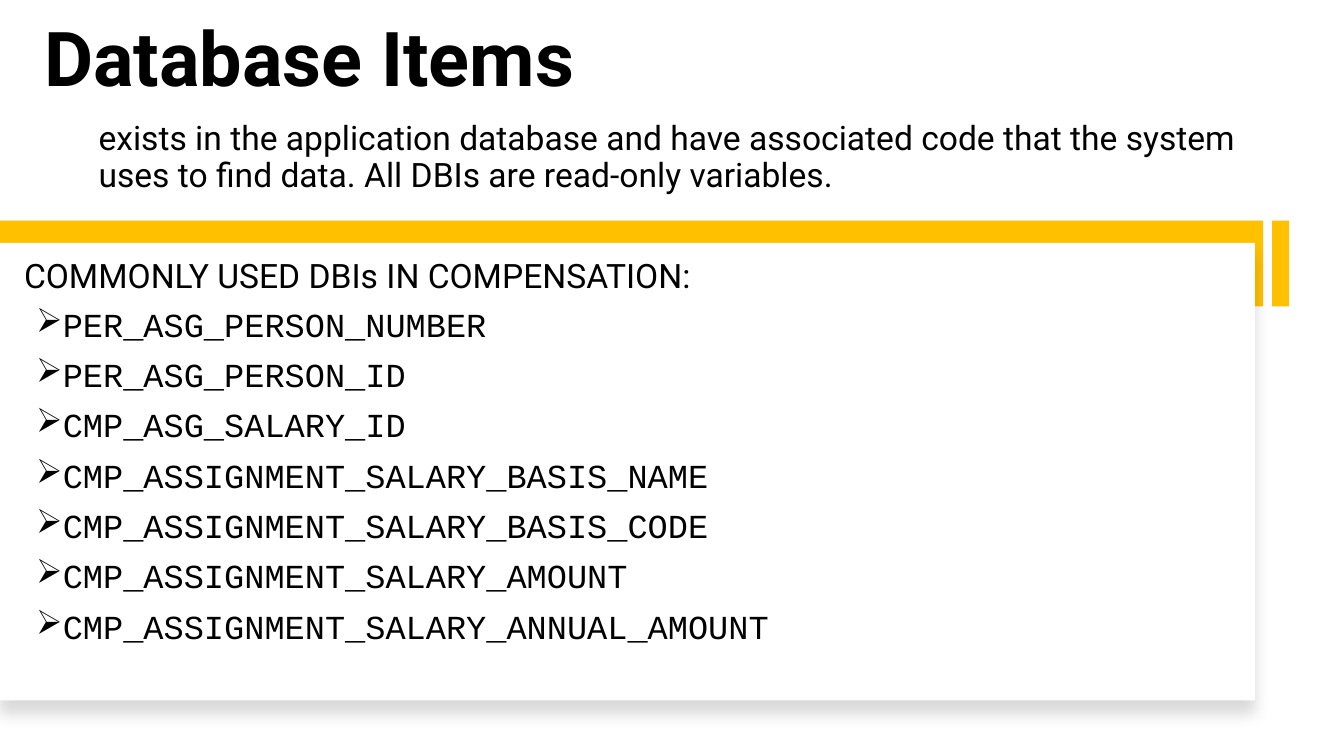
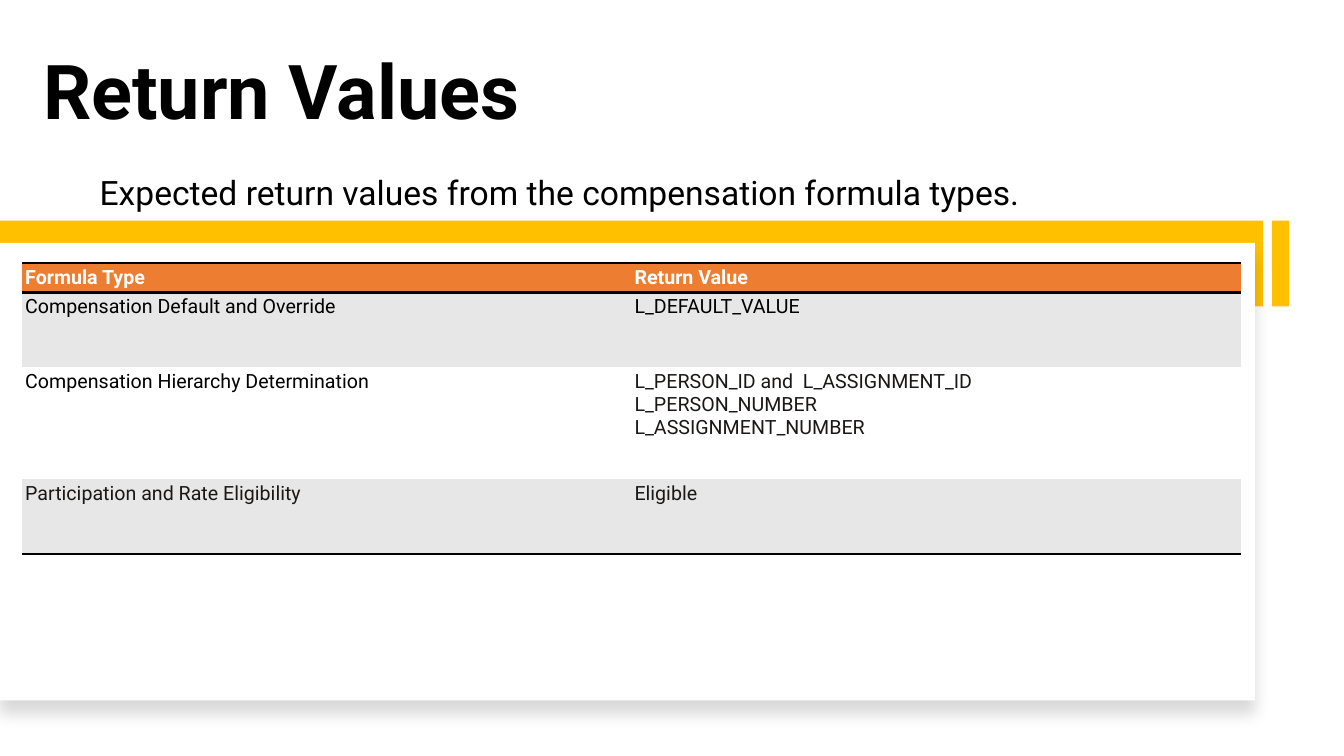
from lxml import etree
from pptx import Presentation
from pptx import util as u
from pptx.dml.color import RGBColor
from pptx.enum import shapes, text
from pptx.oxml import parse_xml
from pptx.oxml.ns import nsdecls, qn

BLACK = RGBColor(0x00, 0x00, 0x00)
INK = RGBColor(0x1A, 0x18, 0x16)
WHITE = RGBColor(0xFF, 0xFF, 0xFF)
GOLD = RGBColor(0xFF, 0xC0, 0x00)
ORANGE = RGBColor(0xED, 0x7D, 0x31)
GREY = RGBColor(0xE7, 0xE7, 0xE7)
SANS, MONO = "Roboto", "Courier New"

deck = Presentation()
deck.slide_width, deck.slide_height = u.Inches(13.333), u.Inches(7.5)


def place(x, y, w, h):
    """Turn percentages of the slide's width and height into lengths."""
    wide, high = deck.slide_width / 100, deck.slide_height / 100
    return [u.Emu(round(n)) for n in (x * wide, y * high, w * wide, h * high)]


def write(slide, spot, lines, size=24, name=SANS, bold=False, gap=10,
          anchor=text.MSO_ANCHOR.TOP, bullet=None):
    frame = slide.shapes.add_textbox(*place(*spot)).text_frame
    frame.word_wrap = True
    frame.vertical_anchor = anchor
    frame.text = "\n".join(lines)
    for para in frame.paragraphs:
        para.line_spacing = 0.9
        para.space_before = u.Pt(gap)
        font = para.runs[0].font
        font.size, font.name, font.bold = u.Pt(size), name, bold
        font.color.rgb = BLACK
        if bullet:
            props = para._p.get_or_add_pPr()
            props.set("marL", str(u.Inches(0.25)))
            props.set("indent", str(-u.Inches(0.25)))
            mark = etree.SubElement(props, qn("a:buChar"))
            mark.set("char", bullet)


# Title and intro of each slide, with their places
heads = [
    ("Database Items", (2.55, -3.07, 75.75, 17.33),
     "exists in the application database and have associated code that "
     "the system uses to find data. All DBIs are read-only variables.",
     (6.6, 15.47, 91.88, 11.33)),
    ("Return Values", (2.48, 1.33, 75.75, 17.33),
     "Expected return values from the compensation formula types.",
     (6.68, 22.67, 89.33, 11.33)),
]
blocks = [
    ((94.65, 29.2, 1.27, 11.33), GOLD),
    ((0, 29.2, 93.98, 11.33), GOLD),
    ((0, 32.13, 93.38, 60.53), WHITE),
]
for title, top, intro, spot in heads:
    slide = deck.slides.add_slide(deck.slide_layouts[6])
    for area, fill in blocks:
        block = slide.shapes.add_shape(shapes.MSO_SHAPE.RECTANGLE, *place(*area))
        block.shadow.inherit = False
        block.fill.solid()
        block.fill.fore_color.rgb = fill
        block.line.fill.background()
    # The panel, drawn last, casts a soft shadow downwards
    glow = block._element.spPr.find(qn("a:effectLst"))
    glow.append(parse_xml(
        f'<a:outerShdw {nsdecls("a")} blurRad="{u.Pt(11)}" dist="{u.Pt(10)}" '
        'dir="5400000" algn="t" rotWithShape="0"><a:srgbClr val="000000">'
        '<a:alpha val="15000"/></a:srgbClr></a:outerShdw>'))
    write(slide, top, [title], size=54, bold=True, gap=0,
          anchor=text.MSO_ANCHOR.BOTTOM)
    write(slide, spot, [intro])

items, values = deck.slides

# Slide 1: list of database items
write(items, (1.05, 33.73, 91.88, 11.33), ["COMMONLY USED DBIs IN COMPENSATION:"])
write(items, (1.95, 40.13, 95.03, 59.2), [
    "PER_ASG_PERSON_NUMBER",
    "PER_ASG_PERSON_ID",
    "CMP_ASG_SALARY_ID",
    "CMP_ASSIGNMENT_SALARY_BASIS_NAME",
    "CMP_ASSIGNMENT_SALARY_BASIS_CODE",
    "CMP_ASSIGNMENT_SALARY_AMOUNT",
    "CMP_ASSIGNMENT_SALARY_ANNUAL_AMOUNT",
], name=MONO, bullet="➢")

# Slide 2: table of return values; each row has height, fill, ruled sides,
# then the text and colour of both cells
rows = [
    (3.47, ORANGE, "TB", ("Formula Type", WHITE), ("Return Value", WHITE)),
    (9.87, GREY, "", ("Compensation Default and Override", BLACK),
     ("L_DEFAULT_VALUE", BLACK)),
    (14.8, WHITE, "", ("Compensation Hierarchy Determination", BLACK),
     ("L_PERSON_ID and  L_ASSIGNMENT_ID\nL_PERSON_NUMBER\nL_ASSIGNMENT_NUMBER",
      INK)),
    (9.87, GREY, "B", ("Participation and Rate Eligibility", INK),
     ("Eligible", INK)),
]
spot = place(1.65, 34.8, 90.68, sum(row[0] for row in rows))
grid = values.shapes.add_table(len(rows), 2, *spot).table
grid.first_row = grid.horz_banding = False
plain = "{2D5ABB26-0587-4C30-8999-92F81FD0307C}"
grid._tbl.tblPr.find(qn("a:tableStyleId")).text = plain
for r, (high, fill, sides, *cells) in enumerate(rows):
    grid.rows[r].height = place(0, 0, 0, high)[3]
    for c, (words, tint) in enumerate(cells):
        cell = grid.cell(r, c)
        cell.margin_left = cell.margin_right = u.Inches(0.03)
        cell.margin_top = cell.margin_bottom = u.Inches(0.03)
        cell.vertical_anchor = (text.MSO_ANCHOR.BOTTOM if r == 0
                                else text.MSO_ANCHOR.TOP)
        for side in sides:
            cell._tc.get_or_add_tcPr().append(parse_xml(
                f'<a:ln{side} {nsdecls("a")} w="{u.Pt(2)}"><a:solidFill>'
                f'<a:srgbClr val="{BLACK}"/></a:solidFill></a:ln{side}>'))
        cell.fill.solid()
        cell.fill.fore_color.rgb = fill
        cell.text_frame.text = words
        for para in cell.text_frame.paragraphs:
            font = para.runs[0].font
            font.size, font.name, font.bold = u.Pt(14), SANS, r == 0
            font.color.rgb = tint

deck.save("out.pptx")
